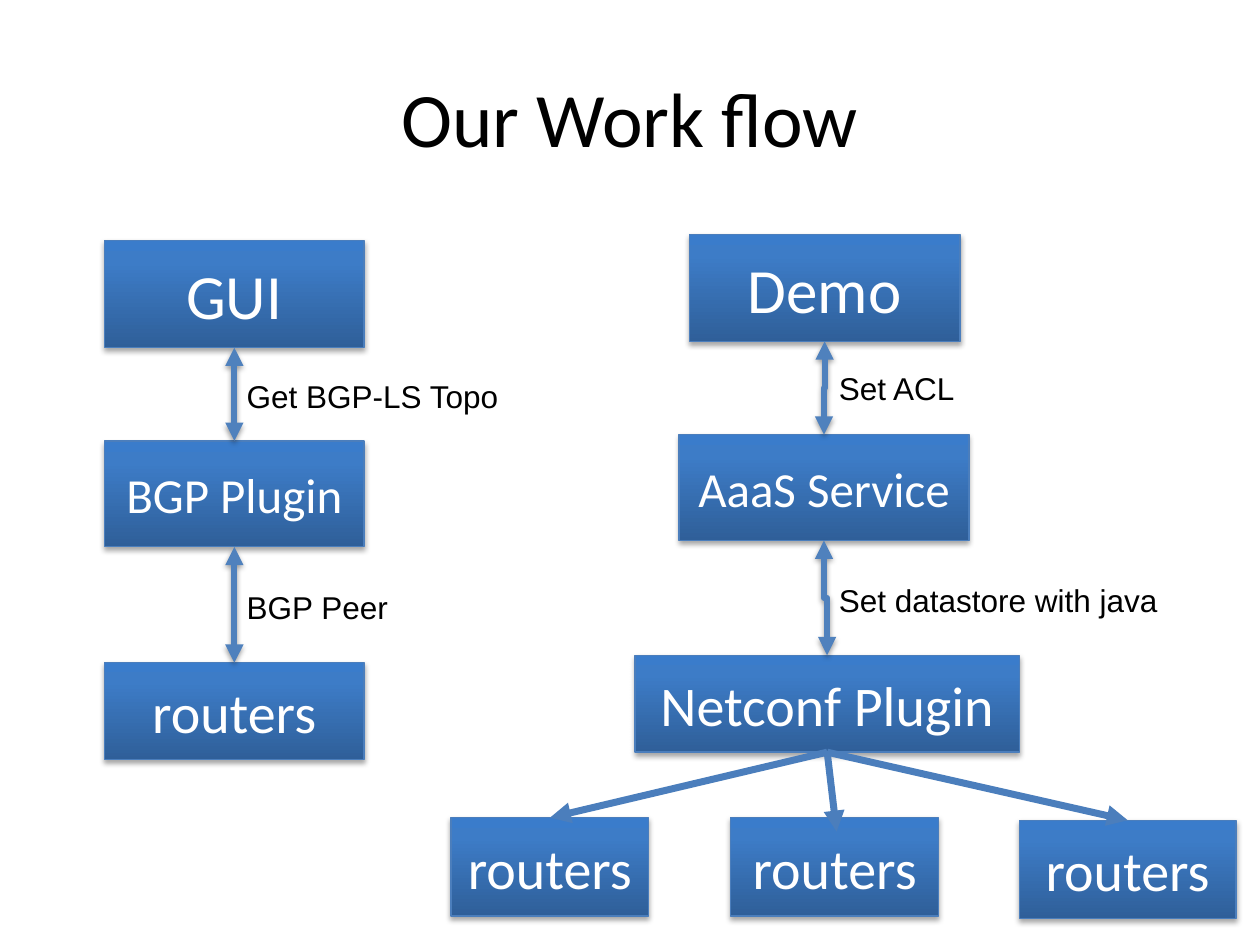
from dataclasses import dataclass

from lxml.etree import SubElement
from pptx import Presentation
from pptx.dml.color import RGBColor
from pptx.enum.shapes import MSO_CONNECTOR as Link, MSO_SHAPE as Preset
from pptx.enum.text import MSO_ANCHOR as Anchor, MSO_AUTO_SIZE as AutoSize, PP_ALIGN as Align
from pptx.oxml.ns import qn
from pptx.shapes.autoshape import Shape
from pptx.shapes.connector import Connector
from pptx.util import Inches, Pt


@dataclass(frozen=True)
class Theme:
    heading_font: str = "Calibri"
    label_font: str = "Arial"
    dark: str = "000000"
    light: str = "FFFFFF"
    outline: str = "4B7EBC"
    flow: str = "4F81BD"
    gradient: tuple = ((0, "2F5F99"), (80, "3D7CC7"), (100, "3A7CCB"))
    title_size: int = 44
    label_size: int = 18
    large: int = 36
    medium: int = 32
    small: int = 28


@dataclass(frozen=True)
class Node:
    text: str
    left: float
    top: float
    width: float
    height: float
    size: int


@dataclass(frozen=True)
class Label:
    text: str
    left: float
    top: float
    width: float


THEME = Theme()
TOP, BOTTOM = 0, 2  # connection sites of a rectangle

GUI_COLUMN = (
    Node("GUI", 0.83, 1.91, 2.06, 0.85, THEME.large),
    Node("BGP Plugin", 0.83, 3.5, 2.06, 0.84, THEME.small),
    Node("routers", 0.83, 5.26, 2.06, 0.77, THEME.medium),
)
DEMO_COLUMN = (
    Node("Demo", 5.47, 1.86, 2.15, 0.85, THEME.large),
    Node("AaaS Service", 5.39, 3.45, 2.3, 0.84, THEME.small),
    Node("Netconf Plugin", 5.04, 5.2, 3.05, 0.77, THEME.medium),
)
ROUTERS = (
    Node("routers", 3.58, 6.49, 1.57, 0.78, THEME.medium),
    Node("routers", 5.8, 6.49, 1.65, 0.78, THEME.medium),
    Node("routers", 8.09, 6.51, 1.72, 0.78, THEME.medium),
)
LABELS = (
    Label("Get BGP-LS Topo", 1.86, 2.94, 2.22),
    Label("BGP Peer", 1.86, 4.62, 1.33),
    Label("Set ACL", 6.56, 2.88, 1.13),
    Label("Set datastore with java", 6.56, 4.56, 2.75),
)


def write(box: Shape, text: str, font: str, size: int, color: str) -> None:
    para = box.text_frame.paragraphs[0]
    span = para.add_run()
    span.text = text
    span.font.name = font
    span.font.size = Pt(size)
    span.font.color.rgb = RGBColor.from_string(color)


def centre(box: Shape) -> None:
    box.text_frame.word_wrap = True
    box.text_frame.vertical_anchor = Anchor.MIDDLE
    box.text_frame.paragraphs[0].alignment = Align.CENTER


def add_shadow(item: Shape | Connector, opacity: int, distance: float) -> None:
    effects = item._element.spPr.find(qn("a:effectLst"))
    if effects is None:
        effects = SubElement(item._element.spPr, qn("a:effectLst"))
    shadow = SubElement(effects, qn("a:outerShdw"), blurRad=str(Pt(3.1)),
                        dist=str(Pt(distance)), dir="5400000", rotWithShape="0")
    color = SubElement(shadow, qn("a:srgbClr"), val=THEME.dark)
    SubElement(color, qn("a:alpha"), val=str(opacity * 1000))


def add_node(page, node: Node) -> Shape:
    box = page.shapes.add_shape(Preset.RECTANGLE, Inches(node.left), Inches(node.top),
                                Inches(node.width), Inches(node.height))
    box.fill.gradient()
    box.fill.gradient_angle = 90
    stops = box._element.spPr.find(".//" + qn("a:gsLst"))
    stops.clear()
    for position, color in THEME.gradient:
        stop = SubElement(stops, qn("a:gs"), pos=str(position * 1000))
        SubElement(stop, qn("a:srgbClr"), val=color)
    box.line.color.rgb = RGBColor.from_string(THEME.outline)
    box.line.width = Pt(0.75)
    box.shadow.inherit = False
    add_shadow(box, 35, 1.8)
    centre(box)
    write(box, node.text, THEME.heading_font, node.size, THEME.light)
    return box


def add_label(page, label: Label) -> None:
    box = page.shapes.add_textbox(Inches(label.left), Inches(label.top),
                                  Inches(label.width), Inches(0.4))
    box.text_frame.word_wrap = False
    box.text_frame.auto_size = AutoSize.SHAPE_TO_FIT_TEXT
    write(box, label.text, THEME.label_font, THEME.label_size, THEME.dark)


def style_link(link: Connector, color: str, width: float, ends: tuple[str, ...]) -> None:
    link.line.color.rgb = RGBColor.from_string(color)
    link.line.width = Pt(width)
    for end in ends:
        SubElement(link.line._get_or_add_ln(), qn(end), type="triangle")
    SubElement(link._element.spPr, qn("a:effectLst"))


def add_two_way(page, upper: Shape, lower: Shape) -> None:
    """Join two stacked boxes with an elbow turned to run downwards."""
    link = page.shapes.add_connector(Link.ELBOW, 0, 0, 0, 0)
    link.begin_connect(upper, BOTTOM)
    link.end_connect(lower, TOP)
    start_x, end_x = upper.left + upper.width // 2, lower.left + lower.width // 2
    start_y, end_y = upper.top + upper.height, lower.top
    length, shift = end_y - start_y, abs(end_x - start_x)
    link.left = (start_x + end_x - length) // 2
    link.top = (start_y + end_y - shift) // 2
    link.width, link.height = length, shift
    rightward = end_x > start_x
    frame = link._element.spPr.find(qn("a:xfrm"))
    frame.set("rot", "16200000" if rightward else "5400000")
    frame.set("flipH", "1" if rightward else "0")
    frame.set("flipV", "0")
    style_link(link, THEME.flow, 3.5, ("a:headEnd", "a:tailEnd"))
    add_shadow(link, 38, 1.6)


def add_branch(page, source: Shape, target: Shape | None = None,
               tip: tuple[float, float] = (0, 0)) -> None:
    """Point from a box to another box, or to a free tip."""
    link = page.shapes.add_connector(Link.STRAIGHT, 0, 0, Inches(tip[0]), Inches(tip[1]))
    link.begin_connect(source, BOTTOM)
    if target is not None:
        link.end_connect(target, TOP)
    style_link(link, THEME.outline, 4, ("a:tailEnd",))


def main() -> None:
    deck = Presentation()
    deck.slide_width, deck.slide_height = Inches(10), Inches(7.5)
    page = deck.slides.add_slide(deck.slide_layouts[6])

    # Title
    title = page.shapes.add_textbox(Inches(0.5), Inches(0.3), Inches(9), Inches(1.25))
    centre(title)
    write(title, "Our Work flow", THEME.heading_font, THEME.title_size, THEME.dark)

    # Two columns with two-way arrows
    for column in (GUI_COLUMN, DEMO_COLUMN):
        boxes = [add_node(page, node) for node in column]
        for upper, lower in zip(boxes, boxes[1:]):
            add_two_way(page, upper, lower)
    plugin = boxes[-1]

    # Arrow labels
    for label in LABELS:
        add_label(page, label)

    # Routers below the Netconf plugin
    left, _, right = [add_node(page, node) for node in ROUTERS]
    add_branch(page, plugin, left)
    add_branch(page, plugin, tip=(6.64, 6.6))
    add_branch(page, plugin, right)

    deck.save("out.pptx")


if __name__ == "__main__":
    main()
